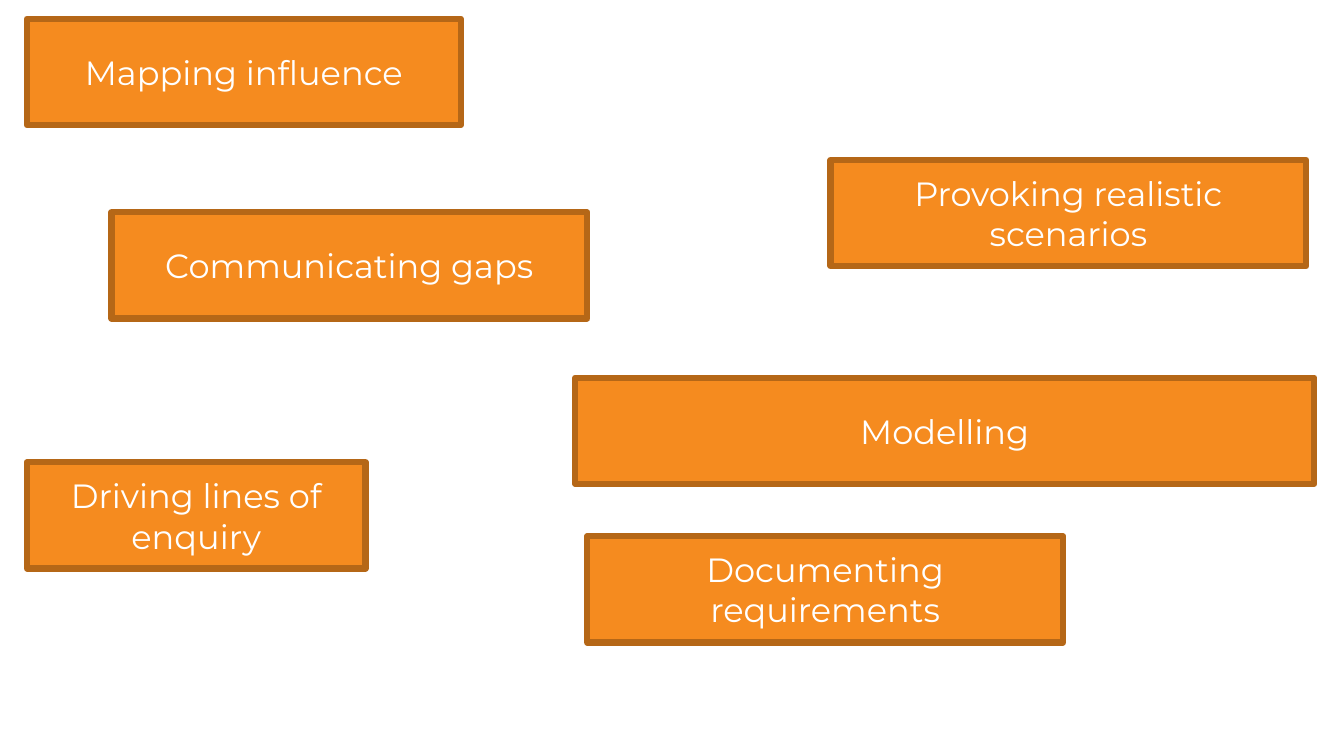
from pptx import Presentation
from pptx.dml.color import RGBColor
from pptx.enum.shapes import MSO_SHAPE
from pptx.enum.text import MSO_ANCHOR, PP_ALIGN
from pptx.util import Inches, Pt

COLORS = {"fill": "F58B1F", "border": "B56717", "text": "FFFFFF"}
FONT = "Montserrat"
BOX_HEIGHT = 0.79
ACTIVITIES = [
    ("Mapping influence", 0.2, 0.14, 3.23),
    ("Driving lines of enquiry", 0.2, 3.44, 2.52),
    ("Documenting requirements", 4.37, 3.99, 3.54),
    ("Communicating gaps", 0.83, 1.58, 3.54),
    ("Modelling", 4.28, 2.81, 5.5),
    ("Provoking realistic scenarios", 6.18, 1.19, 3.54),
]


def color(name):
    """Return the named palette colour."""
    return RGBColor.from_string(COLORS[name])


def write_text(shape, text, size=18, color_name="text", align=PP_ALIGN.CENTER):
    """Write one formatted, vertically centred paragraph into a shape."""
    frame = shape.text_frame
    frame.word_wrap = True
    frame.vertical_anchor = MSO_ANCHOR.MIDDLE
    paragraph = frame.paragraphs[0]
    paragraph.alignment = align
    run = paragraph.add_run()
    run.text = text
    run.font.name = FONT
    run.font.size = Pt(size)
    run.font.color.rgb = color(color_name)


def add_activity(slide, text, left, top, width):
    """Add a bordered box naming one activity."""
    shape = slide.shapes.add_shape(
        MSO_SHAPE.RECTANGLE,
        Inches(left), Inches(top), Inches(width), Inches(BOX_HEIGHT),
    )
    shape.shadow.inherit = False
    shape.fill.solid()
    shape.fill.fore_color.rgb = color("fill")
    shape.line.color.rgb = color("border")
    shape.line.width = Pt(3.35)
    write_text(shape, text)


def main():
    """Build and save the slide of activities."""
    presentation = Presentation()
    presentation.slide_width = Inches(10)
    presentation.slide_height = Inches(10) * 9 // 16
    slide = presentation.slides.add_slide(presentation.slide_layouts[6])
    for activity in ACTIVITIES:
        add_activity(slide, *activity)
    presentation.save("out.pptx")


if __name__ == "__main__":
    main()
